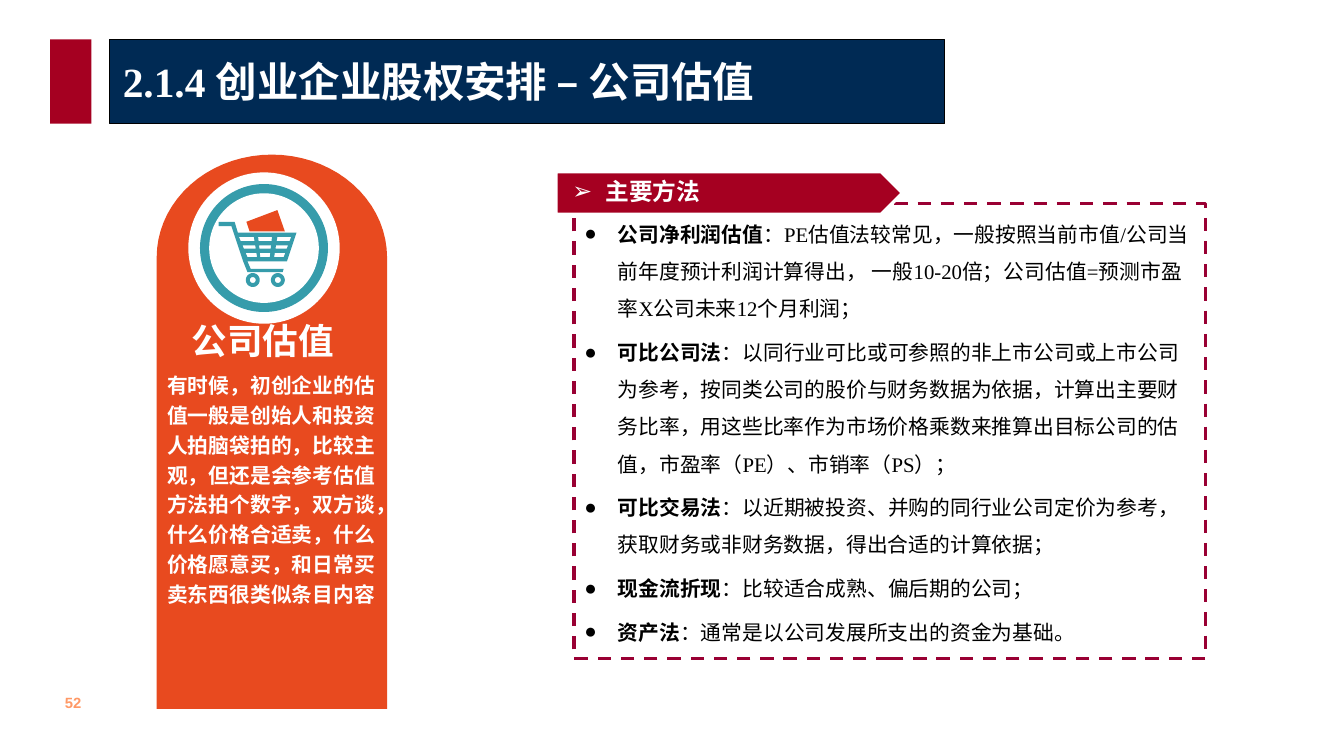
import math
from dataclasses import dataclass

import lxml.etree
import pptx
import pptx.dml.color
import pptx.enum.dml
import pptx.enum.shapes
import pptx.enum.text
import pptx.oxml.ns
import pptx.util

Pt = pptx.util.Pt
Kind = pptx.enum.shapes.MSO_SHAPE
Anchor = pptx.enum.text.MSO_ANCHOR
Align = pptx.enum.text.PP_ALIGN
qn = pptx.oxml.ns.qn


@dataclass(frozen=True)
class Theme:
    navy: str = "002A54"
    red: str = "A50021"
    wine: str = "990033"
    orange: str = "E84A1F"
    teal: str = "369CAB"
    peach: str = "FF9966"
    white: str = "FFFFFF"
    black: str = "000000"
    serif: str = "Times New Roman"
    sans: str = "Noto Sans CJK SC"
    plain: str = "Arial"
    title: int = 28
    head: int = 24
    label: int = 16
    body: int = 14
    small: int = 10


T = Theme()

ADVICE = ("有时候，初创企业的估值一般是创始人和投资人拍脑袋拍的，比较主观，"
          "但还是会参考估值方法拍个数字，双方谈，什么价格合适卖，"
          "什么价格愿意买，和日常买卖东西很类似条目内容")
METHODS = [
    ("公司净利润估值", "：PE估值法较常见，一般按照当前市值/公司当前年度预计利润计算得出， "
     "一般10-20倍；公司估值=预测市盈率X公司未来12个月利润；"),
    ("可比公司法", "：以同行业可比或可参照的非上市公司或上市公司为参考，"
     "按同类公司的股价与财务数据为依据，计算出主要财务比率，"
     "用这些比率作为市场价格乘数来推算出目标公司的估值，市盈率（PE）、市销率（PS）；"),
    ("可比交易法", "：以近期被投资、并购的同行业公司定价为参考，"
     "获取财务或非财务数据，得出合适的计算依据；"),
    ("现金流折现", "：比较适合成熟、偏后期的公司；"),
    ("资产法", "：通常是以公司发展所支出的资金为基础。"),
]


def rgb(code):
    return pptx.dml.color.RGBColor.from_string(code)


def paint(shape, fill=None, line=None, width=1):
    shape.shadow.inherit = False
    if fill:
        shape.fill.solid()
        shape.fill.fore_color.rgb = rgb(fill)
    else:
        shape.fill.background()
    if line:
        shape.line.color.rgb = rgb(line)
        shape.line.width = Pt(width)
    else:
        shape.line.fill.background()
    return shape


def block(slide, kind, box, fill=None, line=None, width=1):
    shape = slide.shapes.add_shape(kind, *map(Pt, box))
    return paint(shape, fill, line, width)


def outline(slide, rings, fill):
    """Draw closed rings of points as one shape; inner rings become holes."""
    rings = [[(Pt(x), Pt(y)) for x, y in ring] for ring in rings]
    pen = slide.shapes.build_freeform(*rings[0][0])
    for i, ring in enumerate(rings):
        if i:
            pen.move_to(*ring[0])
        pen.add_line_segments(ring[1:], close=True)
    return paint(pen.convert_to_shape(), fill)


def arc(x, y, rx, ry, start=0, end=360, steps=36):
    turns = [math.radians(start + (end - start) * i / steps)
             for i in range(steps + 1)]
    return [(x + rx * math.cos(a), y + ry * math.sin(a)) for a in turns]


def style(para, size, color, face, bold=None):
    font = para.font
    font.size, font.name, font.bold = Pt(size), face, bold
    font.color.rgb = rgb(color)
    east = T.sans if face == T.serif else face
    props = para._p.pPr.find(qn("a:defRPr"))
    lxml.etree.SubElement(props, qn("a:ea")).set("typeface", east)


def bullet(para, mark):
    para.level = 1
    props = para._p.get_or_add_pPr()
    props.set("marL", str(Pt(22.5)))
    props.set("indent", str(Pt(-22.5)))
    lxml.etree.SubElement(props, qn("a:buFont")).set("typeface", T.plain)
    lxml.etree.SubElement(props, qn("a:buChar")).set("char", mark)


def write(slide, box, text, size, color, face, wrap=True, anchor=Anchor.TOP):
    """Add a bold one-paragraph text box and return its frame."""
    frame = slide.shapes.add_textbox(*map(Pt, box)).text_frame
    frame.word_wrap = wrap
    frame.vertical_anchor = anchor
    para = frame.paragraphs[0]
    para.text = text
    style(para, size, color, face, True)
    return frame


def header(slide, box):
    x, y, w, h = box
    block(slide, Kind.RECTANGLE, (x + 40, y, w - 40, h), T.navy, T.black)
    block(slide, Kind.RECTANGLE, (x, y, 28, h), T.red)
    write(slide, (x + 42, y + 0.8, w - 46, 54), "2.1.4 创业企业股权安排 – 公司估值",
          T.title, T.white, T.serif, anchor=Anchor.MIDDLE)


def cart(slide, box):
    """Draw the trolley on a grid of 73 by 61 units."""
    x, y, w, h = box
    u = w / 73

    def put(ring):
        return [(x + a * u, y + b * u) for a, b in ring]

    outline(slide, [put([(55, -11), (62, 9), (29, 9), (26, 0)])], T.orange)
    frame = [(0, 0), (15, 0), (18, 10), (73, 10), (64, 37), (27, 37), (30, 44),
             (61, 44), (60, 47), (27, 47), (23, 37), (12, 4), (0, 4)]
    top, low = 14, 33
    bars = [((19, 27), (33, 36)), ((37, 39), (50, 48)), ((55, 52), (68, 61))]

    def slant(edge, b):
        return edge[0] + (edge[1] - edge[0]) * (b - top) / (low - top), b

    rings = [frame]
    for a, b in ((14, 18), (22, 25), (29, 33)):
        for left, right in bars:
            rings.append([slant(left, a), slant(right, a),
                          slant(right, b), slant(left, b)])
    for hub in (32, 55.5):
        rings += [arc(hub, 54.5, r, r) for r in (6.5, 2.8)]
    outline(slide, [put(ring) for ring in rings], T.teal)


def panel(slide, box):
    x, y, w, h = box
    rise = 69.4
    dome = arc(x + w / 2, y + rise, w / 2, rise, 180, 360)
    outline(slide, [dome + [(x + w, y + h), (x, y + h)]], T.orange)
    mid, hub = x + 72.4, y + 63.1
    for size, color in ((102.2, T.white), (86.4, T.teal), (74, T.white)):
        block(slide, Kind.OVAL,
              (mid - size / 2, hub - size / 2, size, size), color)
    cart(slide, (x + 41.8, y + 45.4, 52.6, 44))
    write(slide, (x + 16.6, y + 107.3, 112.3, 36), "公司估值",
          T.head, T.white, T.sans, wrap=False)
    note = write(slide, (x, y + 140.4, 162, 190.8), ADVICE,
                 T.body, T.white, T.sans)
    note.paragraphs[0].line_spacing = 1.2


def methods(slide, box):
    x, y, w, h = box
    card = block(slide, Kind.RECTANGLE, box, line=T.wine, width=2.25)
    card.line.dash_style = pptx.enum.dml.MSO_LINE.DASH
    frame = card.text_frame
    frame.word_wrap = True
    frame.vertical_anchor = Anchor.TOP
    for i, (name, text) in enumerate(METHODS):
        para = frame.add_paragraph() if i else frame.paragraphs[0]
        bullet(para, "●")
        para.alignment = Align.LEFT
        para.line_spacing = 1.5
        if i:
            para.space_before = Pt(4.2)
        style(para, T.body, T.black, T.serif)
        for part, bold in ((name, True), (text, False)):
            run = para.add_run()
            run.text, run.font.bold = part, bold
    block(slide, Kind.PENTAGON, (x - 12.2, y - 21.6, 234, 28.8),
          T.red, T.white, 2.25)
    tag = slide.shapes.add_textbox(
        *map(Pt, (x - 8.6, y - 20.2, 100, 26))).text_frame
    tag.word_wrap = True
    tag.vertical_anchor = Anchor.MIDDLE
    tag.margin_left, tag.margin_right = Pt(1.4), 0
    tag.margin_top = tag.margin_bottom = Pt(0.7)
    para = tag.paragraphs[0]
    para.text = "主要方法"
    bullet(para, "➢")
    para.alignment = Align.CENTER
    para.line_spacing = 0.9
    style(para, T.label, T.white, T.serif, True)


def main():
    deck = pptx.Presentation()
    deck.slide_width, deck.slide_height = Pt(907.2), Pt(510.5)
    slide = deck.slides.add_slide(deck.slide_layouts[6])
    header(slide, (33.8, 26.6, 603.8, 56.9))
    write(slide, (36.7, 465.1, 26.6, 19.4), "52",
          T.small, T.peach, T.plain, wrap=False)
    panel(slide, (105.8, 104.4, 155.5, 374.2))
    methods(slide, (387.4, 137.5, 426.2, 307.4))
    deck.save("out.pptx")


if __name__ == "__main__":
    main()
